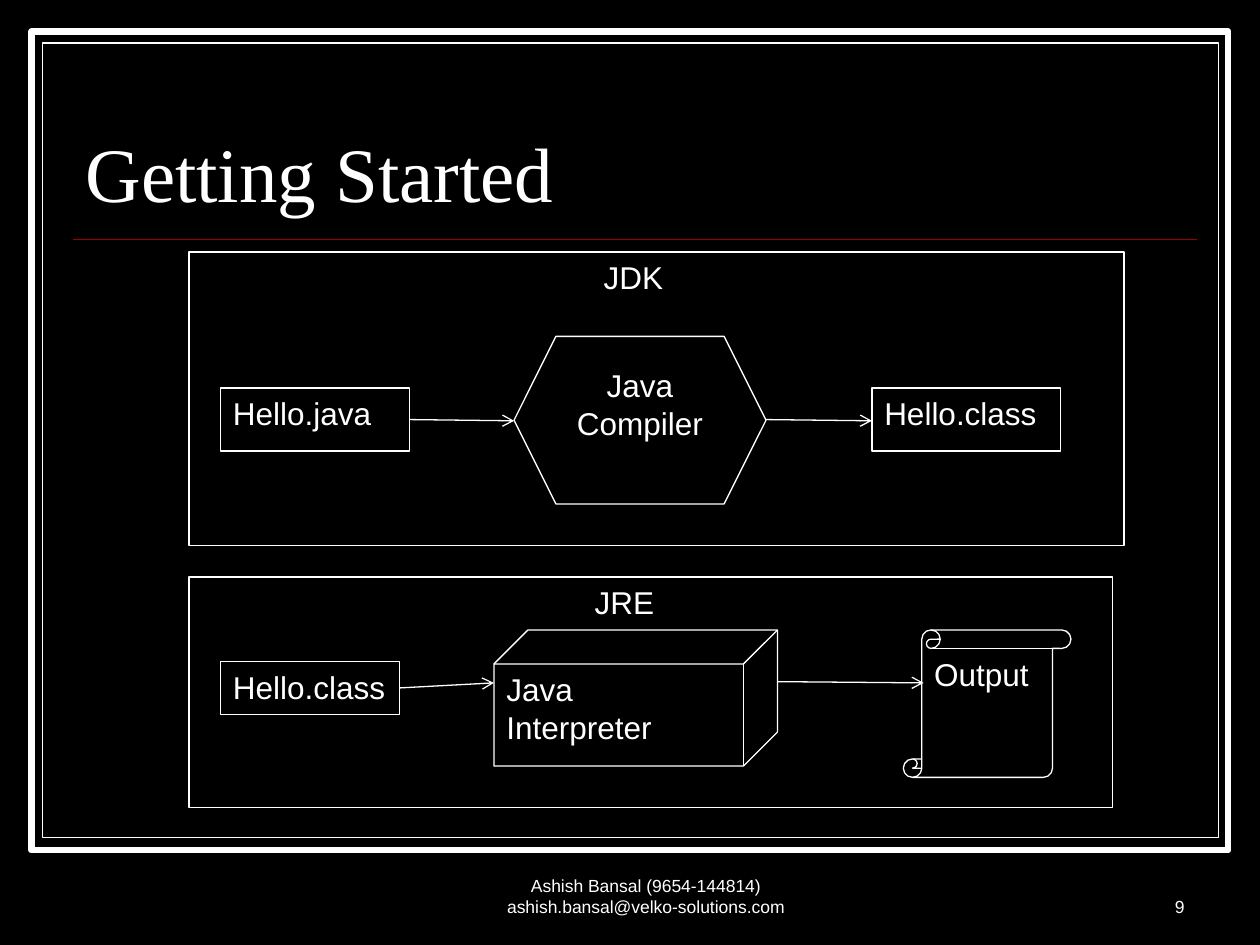
from dataclasses import dataclass

from lxml import etree
from pptx import Presentation, util as u
from pptx.dml.color import RGBColor
from pptx.enum import shapes as es, text as et
from pptx.oxml import ns

INK = {"back": "000000", "line": "FFFFFF", "rule": "990000"}
KIND = es.MSO_SHAPE
LEFT, MID, RIGHT = et.PP_ALIGN.LEFT, et.PP_ALIGN.CENTER, et.PP_ALIGN.RIGHT
TOP, BASE = et.MSO_ANCHOR.TOP, et.MSO_ANCHOR.BOTTOM


@dataclass
class Box:
    """An outlined shape with its label."""
    kind: int
    at: tuple
    label: str = ""
    align: int = LEFT
    inset: float = 0.1
    width: float = 0.75
    fill: str = ""


@dataclass
class Note:
    """A piece of free text."""
    at: tuple
    label: str
    size: int
    align: int = LEFT
    font: str = "Arial"
    space: float = 1.0


@dataclass
class Link:
    """A straight line, with or without an arrowhead."""
    start: tuple
    end: tuple
    ink: str = "line"
    width: float = 0.75
    arrow: bool = True


FRAME = [
    Box(KIND.RECTANGLE, (0.25, 0.25, 9.5, 6.5), width=3.5, fill="back"),
    Box(KIND.RECTANGLE, (0.34, 0.34, 9.33, 6.31), fill="back"),
]
PARTS = [
    Box(KIND.RECTANGLE, (1.5, 2, 7.42, 2.33), "JDK", inset=3.29),
    Box(KIND.RECTANGLE, (1.75, 3.08, 1.5, 0.5), "Hello.java"),
    Box(KIND.HEXAGON, (4.08, 2.67, 2, 1.33), "Java\vCompiler", MID),
    Box(KIND.RECTANGLE, (6.92, 3.08, 1.5, 0.5), "Hello.class"),
    Box(KIND.RECTANGLE, (1.5, 4.58, 7.33, 1.83), "JRE", inset=3.22),
    Box(KIND.RECTANGLE, (1.75, 5.25, 1.42, 0.42), "Hello.class"),
    Box(KIND.CUBE, (3.92, 5, 2.25, 1.08), "Java\vInterpreter"),
    Box(KIND.VERTICAL_SCROLL, (7.17, 5, 1.33, 1.17), "Output"),
]
LINKS = [
    Link((0.58, 1.9), (9.5, 1.9), "rule", 1, False),
    Link((3.25, 3.33), (4.08, 3.34)),
    Link((6.08, 3.33), (6.92, 3.34)),
    Link((3.17, 5.46), (3.92, 5.42)),
    Link((6.17, 5.41), (7.33, 5.42)),
]
NOTES = [
    Note((0.58, 0.52, 8.92, 1.25), "Getting Started", 44,
         font="Times New Roman", space=0.8),
    Note((7.42, 6.83, 2.08, 0.5), "9", 10, RIGHT),
    Note((3.54, 6.83, 3.17, 0.5),
         "Ashish Bansal (9654-144814) ashish.bansal@velko-solutions.com",
         10, MID),
]


def tint(name: str) -> RGBColor:
    """Look up a colour by name."""
    return RGBColor.from_string(INK[name])


def assign(item: object, values: dict) -> None:
    """Set each named attribute of an item."""
    for name, value in values.items():
        setattr(item, name, value)


def write(frame, label: str, size: int, align: int, anchor: int,
          font: str = "Arial", space: float = 1.0, inset: float = 0.1) -> None:
    """Fill a text frame with one styled paragraph."""
    assign(frame, {"text": label, "word_wrap": True,
                   "vertical_anchor": anchor, "margin_left": u.Inches(inset)})
    para = frame.paragraphs[0]
    assign(para, {"alignment": align, "line_spacing": space})
    for run in para.runs:
        assign(run.font, {"name": font, "size": u.Pt(size)})
        run.font.color.rgb = tint("line")


def stroke(line, ink: str, width: float) -> None:
    """Colour a line and set its width."""
    line.fill.solid()
    line.fill.fore_color.rgb = tint(ink)
    line.width = u.Pt(width)


def draw_box(slide, box: Box) -> None:
    """Draw an outlined shape."""
    shape = slide.shapes.add_shape(box.kind, *map(u.Inches, box.at))
    shape.shadow.inherit = False
    if box.fill:
        shape.fill.solid()
        shape.fill.fore_color.rgb = tint(box.fill)
    else:
        shape.fill.background()
    stroke(shape.line, "line", box.width)
    if box.label:
        write(shape.text_frame, box.label, 18, box.align, TOP,
              inset=box.inset)


def draw_note(slide, note: Note) -> None:
    """Draw a text box that rests on its lower edge."""
    shape = slide.shapes.add_textbox(*map(u.Inches, note.at))
    write(shape.text_frame, note.label, note.size, note.align, BASE,
          note.font, note.space)


def draw_link(slide, link: Link) -> None:
    """Draw a line or an arrow."""
    line = slide.shapes.add_connector(
        es.MSO_CONNECTOR.STRAIGHT, *map(u.Inches, link.start + link.end))
    stroke(line.line, link.ink, link.width)
    if link.arrow:
        etree.SubElement(line.line._get_or_add_ln(), ns.qn("a:tailEnd"),
                         type="arrow")
    etree.SubElement(line._element.spPr, ns.qn("a:effectLst"))


def main() -> None:
    """Build the slide and save it."""
    deck = Presentation()
    assign(deck, {"slide_width": u.Inches(10), "slide_height": u.Inches(7.5)})
    slide = deck.slides.add_slide(deck.slide_layouts[6])
    slide.background.fill.solid()
    slide.background.fill.fore_color.rgb = tint("back")
    for draw, items in ((draw_box, FRAME + PARTS), (draw_link, LINKS),
                        (draw_note, NOTES)):
        for item in items:
            draw(slide, item)
    deck.save("out.pptx")


main()
